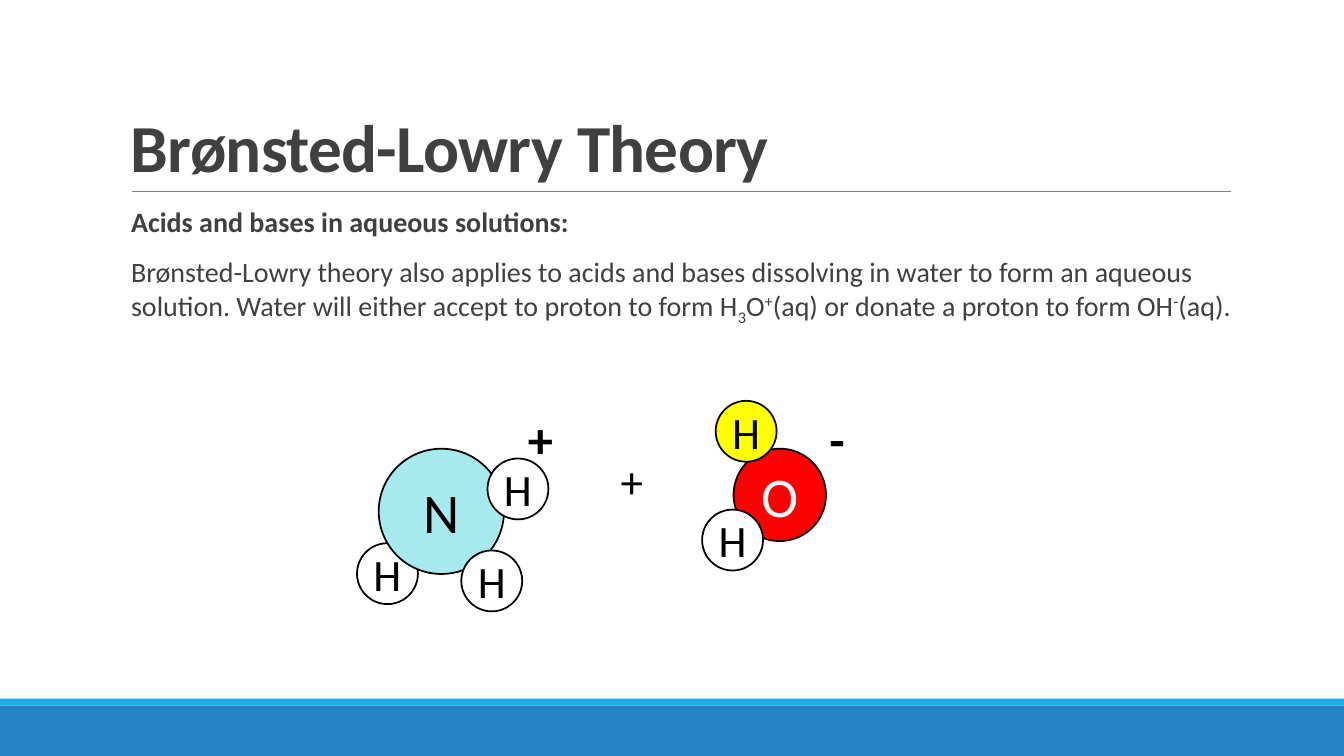
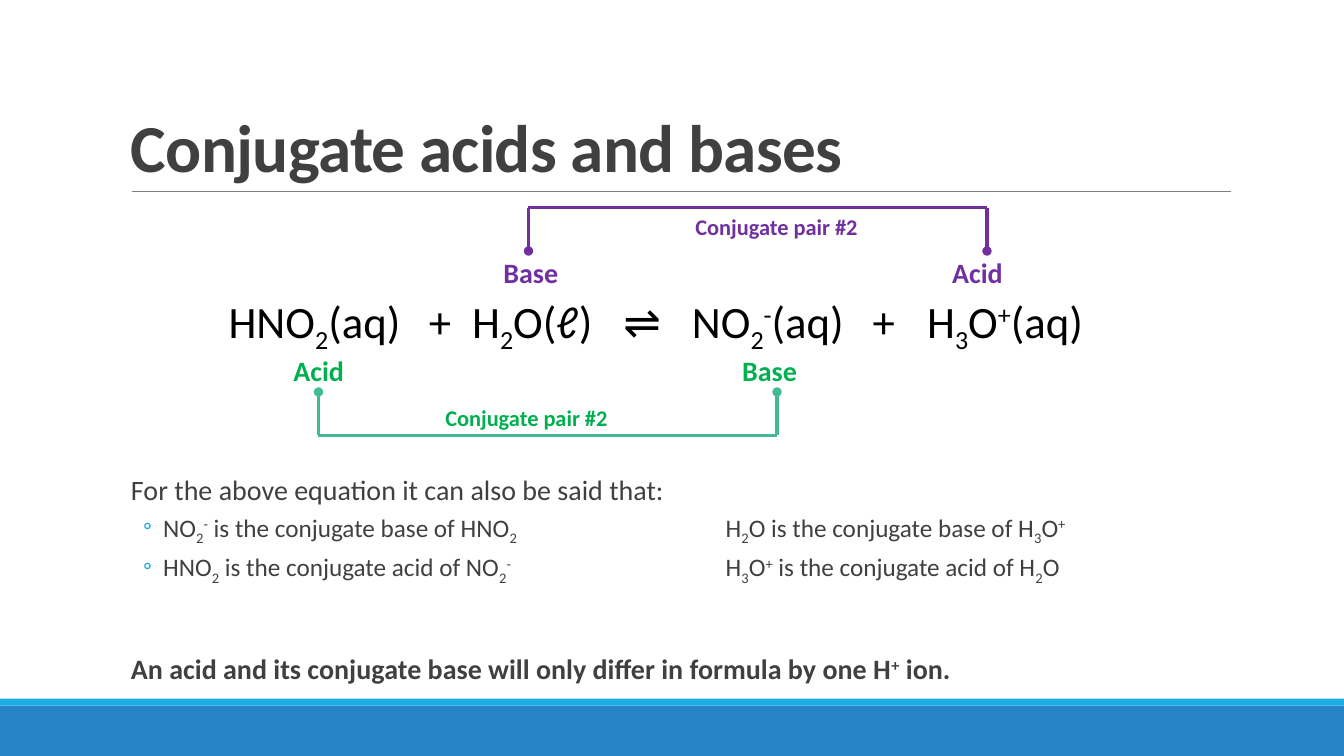
from lxml.etree import SubElement
from pptx import Presentation
from pptx.dml.color import RGBColor
from pptx.enum.shapes import MSO_CONNECTOR, MSO_SHAPE, MSO_SHAPE_TYPE
from pptx.enum.text import MSO_ANCHOR, PP_ALIGN
from pptx.oxml.ns import qn
from pptx.util import Pt

rgb = RGBColor.from_string

FONT = "Calibri"
WHITE, BLACK, GRAY = "FFFFFF", "000000", "404040"
BLUE, CYAN, RULE = "2683C6", "1CADE4", "808080"
PURPLE, GREEN, TEAL = "7030A0", "00B050", "42BA97"
SHIFTS = {"_": -25000, "^": 30000}  # each mark lowers or raises the next character


def write_paragraph(paragraph, markup, size, color, bold=False, tabs=()):
    """Write text with subscripts and superscripts, and set its tab stops."""
    if tabs:
        tab_list = SubElement(paragraph._p.get_or_add_pPr(), qn("a:tabLst"))
        for position in tabs:
            SubElement(tab_list, qn("a:tab"), pos=str(Pt(position)), algn="l")
    pieces, shift = [], 0
    for character in markup:
        if character in SHIFTS:
            shift = SHIFTS[character]
            continue
        if pieces and pieces[-1][1] == shift:
            pieces[-1][0] += character
        else:
            pieces.append([character, shift])
        shift = 0
    for text, shift in pieces:
        run = paragraph.add_run()
        run.text = text
        run.font.name, run.font.size, run.font.bold = FONT, Pt(size), bold
        run.font.color.rgb = rgb(color)
        if shift:
            run._r.get_or_add_rPr().set("baseline", str(shift))


def add_text_box(slide, left, top, width, height):
    """Add a wrapping text box and return its text frame."""
    box = slide.shapes.add_textbox(Pt(left), Pt(top), Pt(width), Pt(height))
    box.text_frame.word_wrap = True
    return box.text_frame


presentation = Presentation()
presentation.slide_width, presentation.slide_height = Pt(960), Pt(540)

# Shared frame: bands, rule and title
slides = []
for title in ("Brønsted-Lowry Theory", "Conjugate acids and bases"):
    slide = presentation.slides.add_slide(presentation.slide_layouts[6])
    slides.append(slide)
    for top, height, color in ((504, 36, BLUE), (499, 5, CYAN)):
        band = slide.shapes.add_shape(MSO_SHAPE.RECTANGLE, 0, Pt(top), Pt(960), Pt(height))
        band.shadow.inherit = False
        band.fill.solid()
        band.fill.fore_color.rgb = rgb(color)
        band.line.fill.background()
    rule = slide.shapes.add_connector(MSO_CONNECTOR.STRAIGHT, Pt(94), Pt(136.6), Pt(879), Pt(136.6))
    rule.line.color.rgb, rule.line.width = rgb(RULE), Pt(0.5)
    frame = add_text_box(slide, 86.4, 22.3, 792, 114.5)
    frame.vertical_anchor = MSO_ANCHOR.BOTTOM
    paragraph = frame.paragraphs[0]
    paragraph.line_spacing = 0.85
    write_paragraph(paragraph, title, 48, GRAY, True)
    paragraph.runs[0]._r.get_or_add_rPr().set("spc", "-50")
theory, conjugates = slides

# Body text: slide, top, width, height, then paragraphs (text, bold, bulleted, space before)
bodies = (
    (theory, 145.4, 799, 91.4, (
        ("Acids and bases in aqueous solutions:", True, False, 0),
        ("Brønsted-Lowry theory also applies to acids and bases dissolving in water to form "
         "an aqueous solution. Water will either accept to proton to form H_3O^+(aq) or "
         "donate a proton to form OH^-(aq).", False, False, 12),
    )),
    (conjugates, 337, 792, 162, (
        ("For the above equation it can also be said that:", False, False, 0),
        ("NO_2^- is the conjugate base of HNO_2\tH_2O is the conjugate base of H_3O^+", False, True, 2),
        ("HNO_2 is the conjugate acid of NO_2^-\tH_3O^+ is the conjugate acid of H_2O", False, True, 2),
        ("An acid and its conjugate base will only differ in formula by one H^+ ion.", True, False, 48),
    )),
)
for slide, top, width, height, paragraphs in bodies:
    frame = add_text_box(slide, 86.4, top, width, height)
    frame.margin_left = frame.margin_right = 0
    for index, (text, bold, bulleted, space_before) in enumerate(paragraphs):
        paragraph = frame.add_paragraph() if index else frame.paragraphs[0]
        properties = paragraph._p.get_or_add_pPr()
        properties.set("marL", str(Pt(30.2 if bulleted else 7.2)))
        if bulleted:
            properties.set("indent", str(Pt(-14.4)))
            bullet_color = SubElement(properties, qn("a:buClr"))
            SubElement(bullet_color, qn("a:srgbClr"), val=CYAN)
            SubElement(properties, qn("a:buFont"), typeface=FONT)
            SubElement(properties, qn("a:buChar"), char="◦")
        write_paragraph(paragraph, text, 18 if bulleted else 20, GRAY, bold, (432,) if bulleted else ())
        paragraph.line_spacing = 0.9
        paragraph.space_before = Pt(space_before)
        paragraph.space_after = Pt(4 if bulleted else 2)

# Ions: atoms from back to front
atoms = (
    ("O", 524, 320.5, 66, "FF0000", WHITE),
    ("H", 501.5, 364, 43.5, WHITE, BLACK),
    ("H", 255, 388, 43.5, WHITE, BLACK),
    ("N", 270.5, 320.5, 89.5, "A6EAEE", BLACK),
    ("H", 348.2, 327.5, 43.5, WHITE, BLACK),
    ("H", 329.5, 393.2, 43.5, WHITE, BLACK),
    ("H", 511.2, 286.3, 43.5, "FFFF00", BLACK),
)
for symbol, left, top, diameter, fill, color in atoms:
    atom = theory.shapes.add_shape(MSO_SHAPE.OVAL, Pt(left), Pt(top), Pt(diameter), Pt(diameter))
    atom.shadow.inherit = False
    atom.fill.solid()
    atom.fill.fore_color.rgb = rgb(fill)
    atom.line.color.rgb, atom.line.width = rgb(BLACK), Pt(1.25)
    frame = atom.text_frame
    frame.margin_left = frame.margin_right = frame.margin_top = frame.margin_bottom = 0
    frame.word_wrap = False
    frame.vertical_anchor = MSO_ANCHOR.MIDDLE
    frame.paragraphs[0].alignment = PP_ALIGN.CENTER
    write_paragraph(frame.paragraphs[0], symbol, 32 if symbol == "H" else 40, color)

# Charges and the plus sign between the ions
for sign, left, top, size, bold in (
    ("+", 436.3, 320.4, 32, False), ("+", 370, 288, 36, True), ("-", 585.4, 288, 36, True),
):
    frame = add_text_box(theory, left, top, 50, 50)
    write_paragraph(frame.paragraphs[0], sign, size, BLACK, bold)

# Equation
frame = add_text_box(conjugates, 156.2, 206, 650, 46)
write_paragraph(
    frame.paragraphs[0], "HNO_2(aq)\t+\tH_2O(ℓ)\t⇌\tNO_2^-(aq)\t+\tH_3O^+(aq)",
    32, BLACK, tabs=(143, 174, 282, 331, 460, 499),
)

# Conjugate pairs: brackets with a role at each leg and a caption
pairs = (
    (TEAL, GREEN, 227.5, 280, 311, 249, ("Acid", "Base"), 311, 285),
    (PURPLE, PURPLE, 377.5, 179.3, 148.5, 179.3, ("Base", "Acid"), 489.6, 149),
)
for line_color, color, left, foot, bar, role_top, roles, caption_left, caption_top in pairs:
    right = left + 327.5
    for role, role_left in zip(roles, (left - 25, right - 32)):
        frame = add_text_box(conjugates, role_left, role_top, 86, 31.5)
        write_paragraph(frame.paragraphs[0], role, 20, color, True)
    for start_x, start_y, end_x in ((left, foot, left), (left, bar, right), (right, foot, right)):
        line = conjugates.shapes.add_connector(
            MSO_CONNECTOR.STRAIGHT, Pt(start_x), Pt(start_y), Pt(end_x), Pt(bar))
        line.line.color.rgb, line.line.width = rgb(line_color), Pt(2.25)
        if start_y == foot:
            SubElement(line.line._get_or_add_ln(), qn("a:headEnd"), type="oval")
    frame = add_text_box(conjugates, caption_left, caption_top, 181, 26.6)
    write_paragraph(frame.paragraphs[0], "Conjugate pair #2", 16, color, True)

# Lines carry no shadow
for slide in slides:
    for shape in slide.shapes:
        if shape.shape_type == MSO_SHAPE_TYPE.LINE:
            SubElement(shape._element.spPr, qn("a:effectLst"))

presentation.save("out.pptx")
